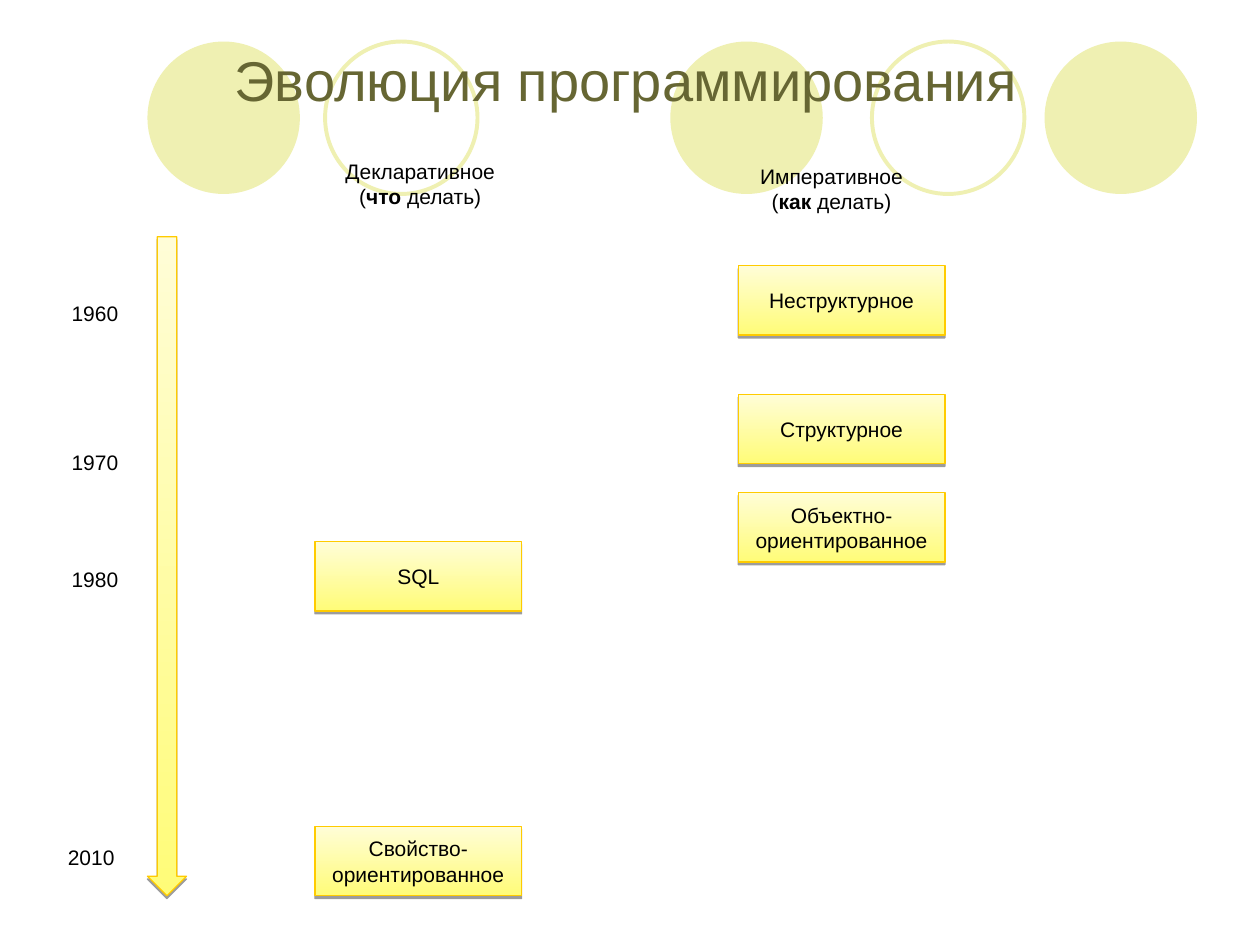
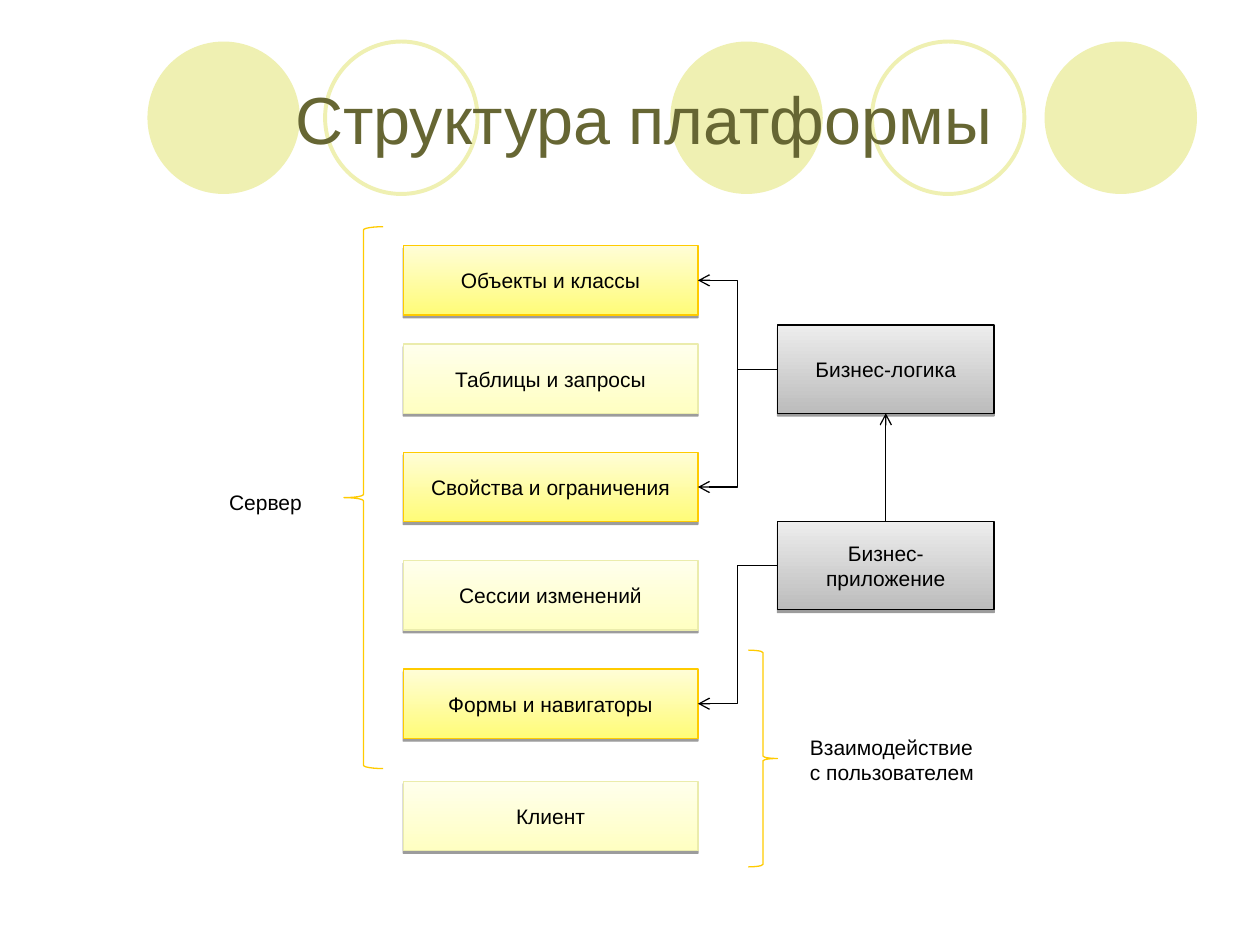
from typing import NamedTuple

import lxml.etree
import pptx
import pptx.dml.color
import pptx.enum.shapes
import pptx.enum.text
import pptx.oxml.ns
import pptx.shapes.autoshape
import pptx.shapes.connector
import pptx.slide
import pptx.text.text
import pptx.util

Inches = pptx.util.Inches
Pt = pptx.util.Pt
Shape = pptx.shapes.autoshape.Shape
Slide = pptx.slide.Slide
KIND = pptx.enum.shapes.MSO_SHAPE
ALIGN = pptx.enum.text.PP_ALIGN
MIDDLE = pptx.enum.text.MSO_ANCHOR.MIDDLE
qn = pptx.oxml.ns.qn

FONT = "Arial"
COLORS = {
    "circle": "EFF0B2",
    "title": "666633",
    "text": "000000",
    "gold": "FFCB00",
    "shadow": "000000",
    "arrow": "000000",
}


class Tone(NamedTuple):
    low: str
    high: str
    line: str


class Box(NamedTuple):
    text: str
    left: float
    top: float
    width: float
    height: float
    tone: str


class Label(NamedTuple):
    text: str
    left: float
    top: float
    width: float
    height: float = 0.3
    align: ALIGN = ALIGN.LEFT


TONES = {
    "bright": Tone("FFFC78", "FFFDD7", COLORS["gold"]),
    "pale": Tone("FFFFC2", "FFFFEC", "EBECAC"),
    "gray": Tone("BCBCBC", "EDEDED", "000000"),
}


# Shared helpers
def color(code: str) -> pptx.dml.color.RGBColor:
    return pptx.dml.color.RGBColor.from_string(code)


def style(para: pptx.text.text._Paragraph, size: float, code: str, align: ALIGN) -> None:
    para.alignment = align
    for run in para.runs:
        run.font.name = FONT
        run.font.size = Pt(size)
        run.font.color.rgb = color(code)


def add_shape(slide: Slide, kind: KIND, left: float, top: float,
              width: float, height: float) -> Shape:
    shape = slide.shapes.add_shape(
        kind, Inches(left), Inches(top), Inches(width), Inches(height))
    shape.shadow.inherit = False
    return shape


def outline(shape: Shape, code: str, width: float = 0.75) -> None:
    shape.line.color.rgb = color(code)
    shape.line.width = Pt(width)


def paint(shape: Shape, tone: Tone) -> None:
    """Upward gradient, thin outline and a hard shadow below."""
    shape.fill.gradient()
    shape.fill.gradient_angle = 90
    for stop, code in zip(shape.fill.gradient_stops, (tone.low, tone.high)):
        stop.color.rgb = color(code)
    outline(shape, tone.line)
    effects = shape.element.spPr.find(qn("a:effectLst"))
    drop = lxml.etree.SubElement(effects, qn("a:outerShdw"), blurRad="0",
                                 dist=str(Pt(1.6)), dir="5400000", rotWithShape="0")
    tint = lxml.etree.SubElement(drop, qn("a:srgbClr"), val=COLORS["shadow"])
    lxml.etree.SubElement(tint, qn("a:alpha"), val="38000")


def add_title(slide: Slide, text: str, left: float, top: float, size: float) -> None:
    title = slide.shapes.title
    title.left, title.top = Inches(left), Inches(top)
    title.width, title.height = Inches(9), Inches(1.25)
    title.text_frame.text = text
    title.text_frame.vertical_anchor = MIDDLE
    style(title.text_frame.paragraphs[0], size, COLORS["title"], ALIGN.CENTER)


def add_box(slide: Slide, box: Box) -> Shape:
    shape = add_shape(slide, KIND.RECTANGLE, box.left, box.top, box.width, box.height)
    paint(shape, TONES[box.tone])
    frame = shape.text_frame
    frame.text = box.text
    frame.word_wrap = True
    frame.vertical_anchor = MIDDLE
    style(frame.paragraphs[0], 12, COLORS["text"], ALIGN.CENTER)
    return shape


def add_label(slide: Slide, label: Label) -> None:
    """Text between asterisks is bold."""
    area = slide.shapes.add_textbox(Inches(label.left), Inches(label.top),
                                    Inches(label.width), Inches(label.height))
    frame = area.text_frame
    frame.word_wrap = False
    for i, line in enumerate(label.text.split("\n")):
        para = frame.add_paragraph() if i else frame.paragraphs[0]
        for j, part in enumerate(line.split("*")):
            run = para.add_run()
            run.text = part
            run.font.bold = j % 2 == 1
        style(para, 12, COLORS["text"], label.align)


def add_brace(slide: Slide, kind: KIND, left: float, top: float,
              width: float, height: float) -> None:
    brace = add_shape(slide, kind, left, top, width, height)
    brace.fill.background()
    outline(brace, COLORS["gold"])


def link(slide: Slide, start: Shape, out: int, end: Shape, into: int,
         kind: pptx.enum.shapes.MSO_CONNECTOR) -> None:
    line = slide.shapes.add_connector(kind, 0, 0, 0, 0)
    line.begin_connect(start, out)
    line.end_connect(end, into)
    line.line.color.rgb = color(COLORS["arrow"])
    line.line.width = Pt(0.75)
    props = line.element.spPr
    lxml.etree.SubElement(props.find(qn("a:ln")), qn("a:tailEnd"), type="arrow")
    lxml.etree.SubElement(props, qn("a:effectLst"))


def add_band(deck: pptx.presentation.Presentation, slide: Slide) -> None:
    """Draw the circles and move them to the master, behind all else."""
    tree = deck.slide_master.shapes.element
    circles = ((5.32, True), (8.29, True), (1.17, True), (6.92, False), (2.58, False))
    for i, (left, solid) in enumerate(circles):
        circle = add_shape(slide, KIND.OVAL, left, 0.33, 1.21, 1.21)
        if solid:
            circle.fill.solid()
            circle.fill.fore_color.rgb = color(COLORS["circle"])
            circle.line.fill.background()
        else:
            circle.fill.background()
            outline(circle, COLORS["circle"], 2.25)
        tree.insert(2 + i, circle.element)


# Slide 1: timeline of programming styles
def build_era(slide: Slide) -> None:
    add_title(slide, "Эволюция программирования", 0.47, 0, 32)
    what, how = 2.5, 5.86
    for text, left, top in (
        ("Неструктурное", how, 2.11),
        ("Структурное", how, 3.13),
        ("Объектно-ориентированное", how, 3.91),
        ("SQL", what, 4.3),
        ("Свойство-ориентированное", what, 6.56),
    ):
        add_box(slide, Box(text, left, top, 1.64, 0.55, "bright"))

    arrow = add_shape(slide, KIND.DOWN_ARROW, 1.17, 1.88, 0.31, 5.23)
    paint(arrow, TONES["bright"])

    for label in (
        Label("1960", 0.47, 2.34, 0.57),
        Label("1970", 0.47, 3.52, 0.57),
        Label("1980", 0.47, 4.45, 0.57),
        Label("2010", 0.44, 6.65, 0.57),
        Label("Императивное\n(*как* делать)", 5.93, 1.25, 1.34, 0.5, ALIGN.CENTER),
        Label("Декларативное\n(*что *делать)", 2.64, 1.21, 1.39, 0.5, ALIGN.CENTER),
    ):
        add_label(slide, label)


# Slide 2: layers of the platform
def build_stack(slide: Slide) -> None:
    add_title(slide, "Структура платформы", 0.61, 0.31, 38)
    layers = (
        ("Объекты и классы", 1.95),
        ("Таблицы и запросы", 2.73),
        ("Свойства и ограничения", 3.59),
        ("Сессии изменений", 4.45),
        ("Формы и навигаторы", 5.31),
        ("Клиент", 6.2),
    )
    parts = [
        add_box(slide, Box(text, 3.2, top, 2.34, 0.55, "pale" if i % 2 else "bright"))
        for i, (text, top) in enumerate(layers)
    ]
    logic, app = (
        add_box(slide, Box(text, 6.17, top, 1.72, 0.7, "gray"))
        for text, top in (("Бизнес-логика", 2.58), ("Бизнес-приложение", 4.14))
    )

    # Arrows
    wire = pptx.enum.shapes.MSO_CONNECTOR
    for start, end in ((logic, parts[0]), (logic, parts[2]), (app, parts[4])):
        link(slide, start, 1, end, 3, wire.ELBOW)
    link(slide, app, 0, logic, 2, wire.STRAIGHT)

    # Braces and their labels
    add_brace(slide, KIND.LEFT_BRACE, 2.73, 1.8, 0.31, 4.3)
    add_label(slide, Label("Сервер", 1.72, 3.84, 0.78))
    add_brace(slide, KIND.RIGHT_BRACE, 5.94, 5.16, 0.23, 1.72)
    add_label(slide, Label("Взаимодействие\nс пользователем", 6.33, 5.78, 1.56, 0.5))


def main() -> None:
    deck = pptx.Presentation()
    deck.slide_width, deck.slide_height = Inches(10), Inches(7.5)
    layout = deck.slide_layouts.get_by_name("Title Only")
    era, stack = (deck.slides.add_slide(layout) for _ in range(2))
    add_band(deck, era)
    build_era(era)
    build_stack(stack)
    deck.save("out.pptx")


if __name__ == "__main__":
    main()
